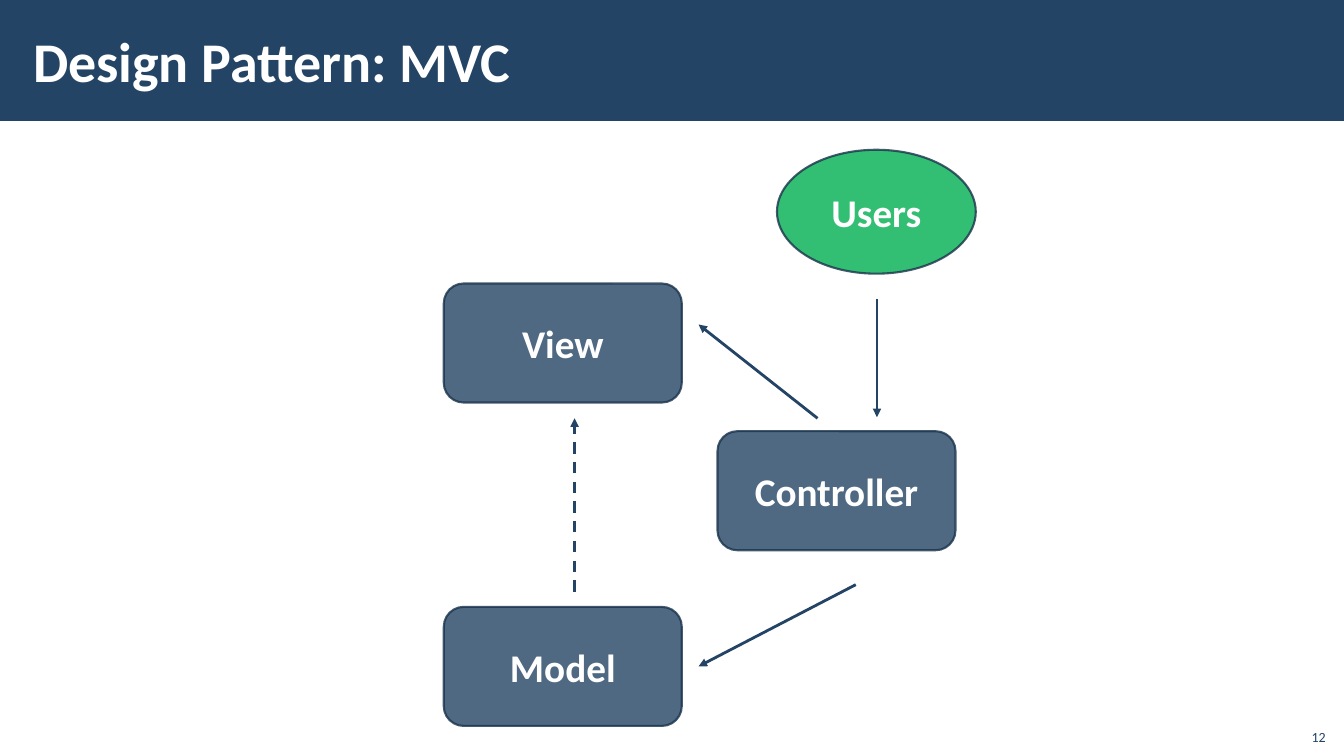
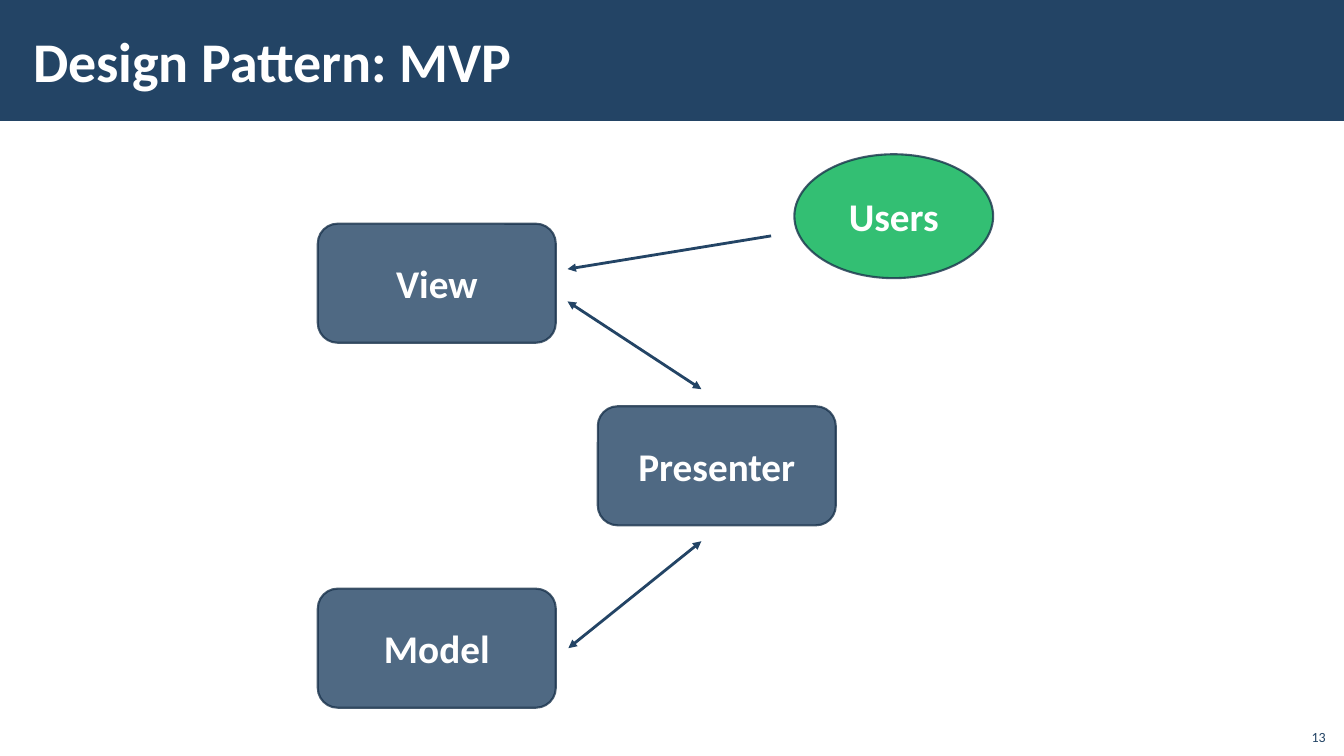
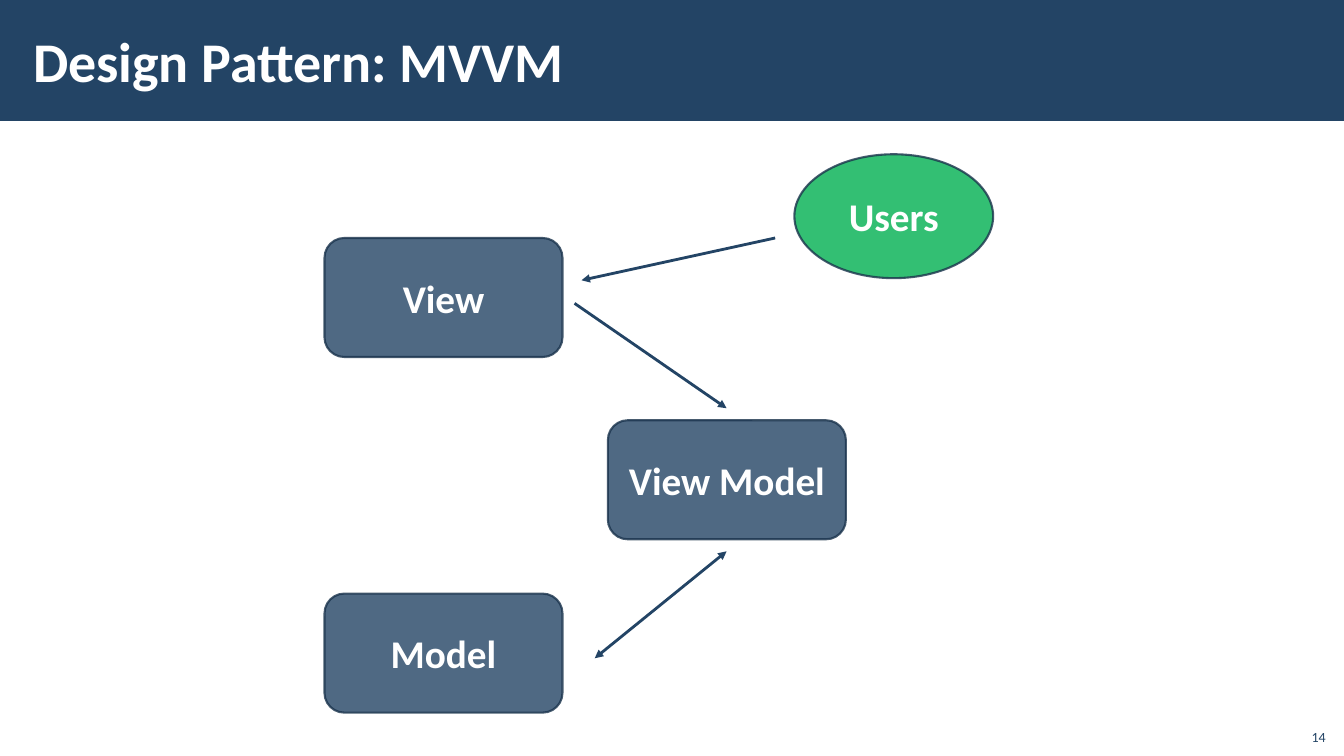
from dataclasses import dataclass
from typing import Any

from lxml.etree import SubElement
from pptx import Presentation
from pptx.dml.color import RGBColor
from pptx.enum.dml import MSO_LINE
from pptx.enum.shapes import MSO_CONNECTOR, MSO_SHAPE
from pptx.enum.text import MSO_ANCHOR, PP_ALIGN
from pptx.oxml.ns import qn
from pptx.util import Pt

Point = tuple[float, float]

SLIDE_W, SLIDE_H = 960, 540
NAVY, OUTLINE, GREEN, WHITE = "234465", "1A334C", "00B050", "FFFFFF"
OPACITY = 80
BOX_SIZE = (170, 85)
USERS_SIZE = (142, 88.5)
FIRST_NUMBER = 12

TITLE_FORMAT = {"name": "Calibri", "size": Pt(40), "bold": True}
NODE_FORMAT = {"name": "Calibri", "size": Pt(28), "bold": True}
NUMBER_FORMAT = {"name": "Calibri", "size": Pt(10), "bold": False}
TITLE_INSETS = {
    "margin_left": Pt(8.64), "margin_right": Pt(8.64),
    "margin_top": Pt(2.88), "margin_bottom": Pt(2.88),
}


@dataclass
class Box:
    label: str
    at: Point


@dataclass
class Arrow:
    start: Point
    end: Point
    two_way: bool = False
    dashed: bool = False


@dataclass
class Pattern:
    name: str
    users_at: Point
    boxes: list[Box]
    arrows: list[Arrow]


PATTERNS = [
    Pattern(
        "MVC", (555, 107),
        [Box("View", (317, 202.5)), Box("Controller", (512.5, 308)),
         Box("Model", (317, 433.5))],
        [Arrow((410.4, 422.6), (410.4, 298.8), dashed=True),
         Arrow((584, 298.8), (499, 231.8)),
         Arrow((611.3, 417.6), (499, 476)),
         Arrow((626.4, 213.8), (626.4, 298))],
    ),
    Pattern(
        "MVP", (567.4, 110.2),
        [Box("View", (227, 159.8)), Box("Presenter", (427, 290.2)),
         Box("Model", (227, 420.5))],
        [Arrow((550.8, 168.5), (405.4, 192.2)),
         Arrow((501, 278), (405.4, 215.3), two_way=True),
         Arrow((406, 463), (501, 386.6), two_way=True)],
    ),
    Pattern(
        "MVVM", (567.4, 110.2),
        [Box("View", (231.8, 170)), Box("View Model", (434.2, 300.2)),
         Box("Model", (231.8, 424))],
        [Arrow((553.7, 170), (415.4, 200.2)),
         Arrow((424.8, 470.2), (519, 393.8), two_way=True),
         Arrow((410.4, 216.7), (519, 291.6))],
    ),
]


def rgb(color: str) -> RGBColor:
    return RGBColor.from_string(color)


def set_attrs(target: Any, values: dict[str, Any]) -> None:
    for name, value in values.items():
        setattr(target, name, value)


def write(tf: Any, text: str, font: dict[str, Any], color: str,
          align: PP_ALIGN, anchor: MSO_ANCHOR) -> None:
    tf.word_wrap = True
    tf.vertical_anchor = anchor
    p = tf.paragraphs[0]
    p.alignment = align
    r = p.add_run()
    r.text = text
    set_attrs(r.font, font)
    r.font.color.rgb = rgb(color)


def add_filled(s: Any, kind: MSO_SHAPE, at: Point, size: Point, fill: str) -> Any:
    sp = s.shapes.add_shape(kind, *map(Pt, at + size))
    sp.shadow.inherit = False
    sp.fill.solid()
    sp.fill.fore_color.rgb = rgb(fill)
    return sp


def add_node(s: Any, kind: MSO_SHAPE, label: str, at: Point, size: Point,
             fill: str) -> None:
    """Add a labelled shape with translucent fill and outline."""
    sp = add_filled(s, kind, at, size, fill)
    sp.line.color.rgb = rgb(OUTLINE)
    sp.line.width = Pt(1.5)
    for clr in sp.element.spPr.iter(qn("a:srgbClr")):
        SubElement(clr, qn("a:alpha"), val=str(OPACITY * 1000))
    write(sp.text_frame, label, NODE_FORMAT, WHITE, PP_ALIGN.CENTER,
          MSO_ANCHOR.MIDDLE)


def add_arrow(s: Any, arrow: Arrow) -> None:
    cx = s.shapes.add_connector(MSO_CONNECTOR.STRAIGHT,
                                *map(Pt, arrow.start + arrow.end))
    cx.line.color.rgb = rgb(NAVY)
    cx.line.width = Pt(2)
    if arrow.dashed:
        cx.line.dash_style = MSO_LINE.DASH
    spPr = cx.element.spPr
    ln = spPr.find(qn("a:ln"))
    for end in ("a:headEnd", "a:tailEnd") if arrow.two_way else ("a:tailEnd",):
        SubElement(ln, qn(end), type="triangle")
    SubElement(spPr, qn("a:effectLst"))


def add_frame(s: Any, title: str, number: int) -> None:
    """Add the title band, title and slide number."""
    band = add_filled(s, MSO_SHAPE.RECTANGLE, (0, 0), (SLIDE_W, 86.4), NAVY)
    band.line.fill.background()
    tf = s.shapes.add_textbox(Pt(15), Pt(8), Pt(765), Pt(70)).text_frame
    set_attrs(tf, TITLE_INSETS)
    write(tf, title, TITLE_FORMAT, WHITE, PP_ALIGN.LEFT, MSO_ANCHOR.MIDDLE)
    tf = s.shapes.add_textbox(Pt(925), Pt(512.6), Pt(29), Pt(23)).text_frame
    write(tf, str(number), NUMBER_FORMAT, NAVY, PP_ALIGN.RIGHT,
          MSO_ANCHOR.BOTTOM)


def main() -> None:
    prs = Presentation()
    prs.slide_width, prs.slide_height = Pt(SLIDE_W), Pt(SLIDE_H)
    for number, pattern in enumerate(PATTERNS, FIRST_NUMBER):
        s = prs.slides.add_slide(prs.slide_layouts[6])
        add_frame(s, f"Design Pattern: {pattern.name}", number)
        for box in pattern.boxes:
            add_node(s, MSO_SHAPE.ROUNDED_RECTANGLE, box.label, box.at,
                     BOX_SIZE, NAVY)
        for arrow in pattern.arrows:
            add_arrow(s, arrow)
        add_node(s, MSO_SHAPE.OVAL, "Users", pattern.users_at, USERS_SIZE,
                 GREEN)
    prs.save("out.pptx")


if __name__ == "__main__":
    main()
